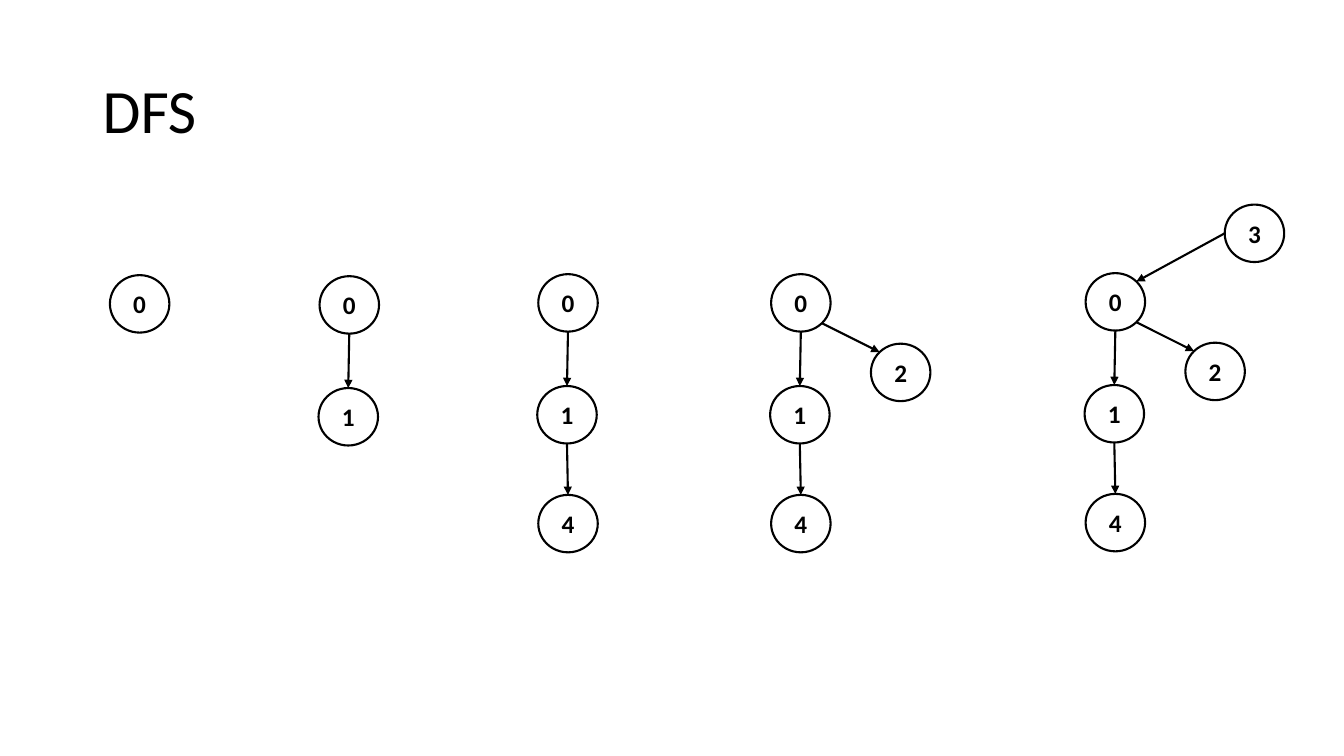
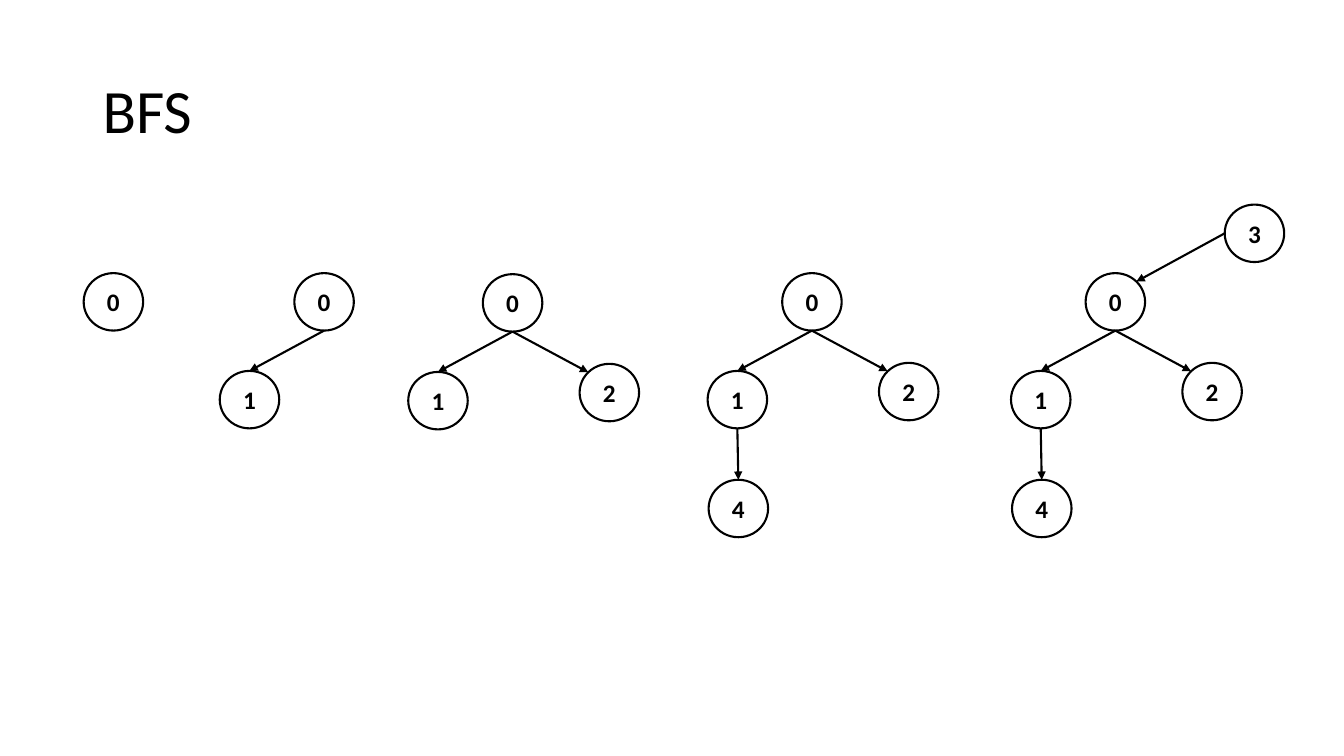
"""Builds two slides that show a depth-first and a breadth-first traversal step by step."""
import dataclasses
import math

import lxml.etree
import pptx
import pptx.dml.color
import pptx.enum.shapes
import pptx.enum.text
import pptx.oxml.ns
import pptx.util

Inches = pptx.util.Inches


@dataclasses.dataclass(frozen=True)
class Theme:
    """Colours, type and line sizes shared by both slides."""
    ink: pptx.dml.color.RGBColor = pptx.dml.color.RGBColor(0, 0, 0)
    font: str = "Calibri"
    title_size: int = 44
    node_size: int = 18
    line_width: float = 1.5
    node_width: float = 0.59
    node_height: float = 0.57


THEME = Theme()

# Connection sites of an ellipse, numbered counter-clockwise from the top.
TOP, TOP_LEFT, LEFT, BOTTOM, BOTTOM_RIGHT, TOP_RIGHT = 0, 1, 2, 4, 5, 7


@dataclasses.dataclass(frozen=True)
class Traversal:
    """A graph layout around node 0 and the steps that reveal it.

    offsets: node -> (x, y) from node 0, in inches
    edges: (source, source site, target, target site)
    steps: (left of node 0, top of node 0, visible nodes)
    """
    title: str
    offsets: dict
    edges: list
    steps: list


DEPTH_FIRST = Traversal(
    title="DFS",
    offsets={"0": (0, 0), "1": (-0.01, 1.11), "4": (0, 2.19),
             "2": (0.99, 0.69), "3": (1.38, -0.68)},
    edges=[("0", BOTTOM, "1", TOP), ("1", BOTTOM, "4", TOP),
           ("0", BOTTOM_RIGHT, "2", TOP_LEFT), ("3", LEFT, "0", TOP_RIGHT)],
    steps=[(1.09, 2.73, "0"), (3.17, 2.74, "01"), (5.34, 2.72, "014"),
           (7.65, 2.72, "0142"), (10.77, 2.71, "01423")],
)

BREADTH_FIRST = Traversal(
    title="BFS",
    offsets={"0": (0, 0), "1": (-0.74, 0.97), "4": (-0.73, 2.05),
             "2": (0.96, 0.89), "3": (1.38, -0.68)},
    edges=[("0", BOTTOM, "1", TOP), ("0", BOTTOM, "2", TOP_LEFT),
           ("1", BOTTOM, "4", TOP), ("3", LEFT, "0", TOP_RIGHT)],
    steps=[(0.83, 2.71, "0"), (2.92, 2.71, "01"), (4.79, 2.72, "012"),
           (7.76, 2.71, "0124"), (10.77, 2.71, "01243")],
)


def style_text(box, size, bold=False):
    """Centre the text vertically and give its runs the theme font."""
    box.text_frame.vertical_anchor = pptx.enum.text.MSO_ANCHOR.MIDDLE
    for para in box.text_frame.paragraphs:
        for span in para.runs:
            span.font.name = THEME.font
            span.font.size = pptx.util.Pt(size)
            span.font.bold = bold
            span.font.color.rgb = THEME.ink


def style_line(line):
    """Apply the theme colour and width to an outline or connector."""
    line.color.rgb = THEME.ink
    line.width = pptx.util.Pt(THEME.line_width)


def add_title(page, text):
    """Add the slide title."""
    box = page.shapes.add_textbox(Inches(0.92), Inches(0.4), Inches(11.5), Inches(1.45))
    box.text_frame.word_wrap = True
    box.text_frame.text = text
    box.text_frame.paragraphs[0].line_spacing = 0.9
    style_text(box, THEME.title_size)


def add_node(page, label, left, top):
    """Add one labelled circle and return it."""
    node = page.shapes.add_shape(
        pptx.enum.shapes.MSO_SHAPE.OVAL, Inches(left), Inches(top),
        Inches(THEME.node_width), Inches(THEME.node_height))
    node.shadow.inherit = False
    node.fill.background()
    style_line(node.line)
    node.text_frame.text = label
    node.text_frame.paragraphs[0].alignment = pptx.enum.text.PP_ALIGN.CENTER
    style_text(node, THEME.node_size, bold=True)
    return node


def site_point(node, site):
    """Return the x and y of a connection site on a node."""
    angle = site * math.pi / 4
    x = node.left + node.width / 2 * (1 - math.sin(angle))
    y = node.top + node.height / 2 * (1 - math.cos(angle))
    return round(x), round(y)


def add_edge(page, source, source_site, target, target_site):
    """Add an arrow glued to a site on each of two nodes."""
    edge = page.shapes.add_connector(
        pptx.enum.shapes.MSO_CONNECTOR.STRAIGHT,
        *site_point(source, source_site), *site_point(target, target_site))
    style_line(edge.line)
    qualify = pptx.oxml.ns.qn
    glue = edge.element.find(".//" + qualify("p:cNvCxnSpPr"))
    for tag, node, site in (("a:stCxn", source, source_site),
                            ("a:endCxn", target, target_site)):
        lxml.etree.SubElement(glue, qualify(tag), id=str(node.shape_id), idx=str(site))
    properties = edge.element.spPr
    lxml.etree.SubElement(properties.find(qualify("a:ln")), qualify("a:tailEnd"),
                          type="triangle")
    lxml.etree.SubElement(properties, qualify("a:effectLst"))


def add_step(page, traversal, left, top, visible):
    """Draw the visible nodes of one step and the edges between them."""
    nodes = {}
    for label in visible:
        across, down = traversal.offsets[label]
        nodes[label] = add_node(page, label, left + across, top + down)
    for source, source_site, target, target_site in traversal.edges:
        if source in nodes and target in nodes:
            add_edge(page, nodes[source], source_site, nodes[target], target_site)


def add_traversal_page(deck, traversal):
    """Add a slide with a title and every step of a traversal."""
    page = deck.slides.add_slide(deck.slide_layouts[6])
    add_title(page, traversal.title)
    for left, top, visible in traversal.steps:
        add_step(page, traversal, left, top, visible)


def main():
    """Build and save the deck."""
    deck = pptx.Presentation()
    deck.slide_width = Inches(40 / 3)
    deck.slide_height = Inches(7.5)
    for traversal in (DEPTH_FIRST, BREADTH_FIRST):
        add_traversal_page(deck, traversal)
    deck.save("out.pptx")


main()
